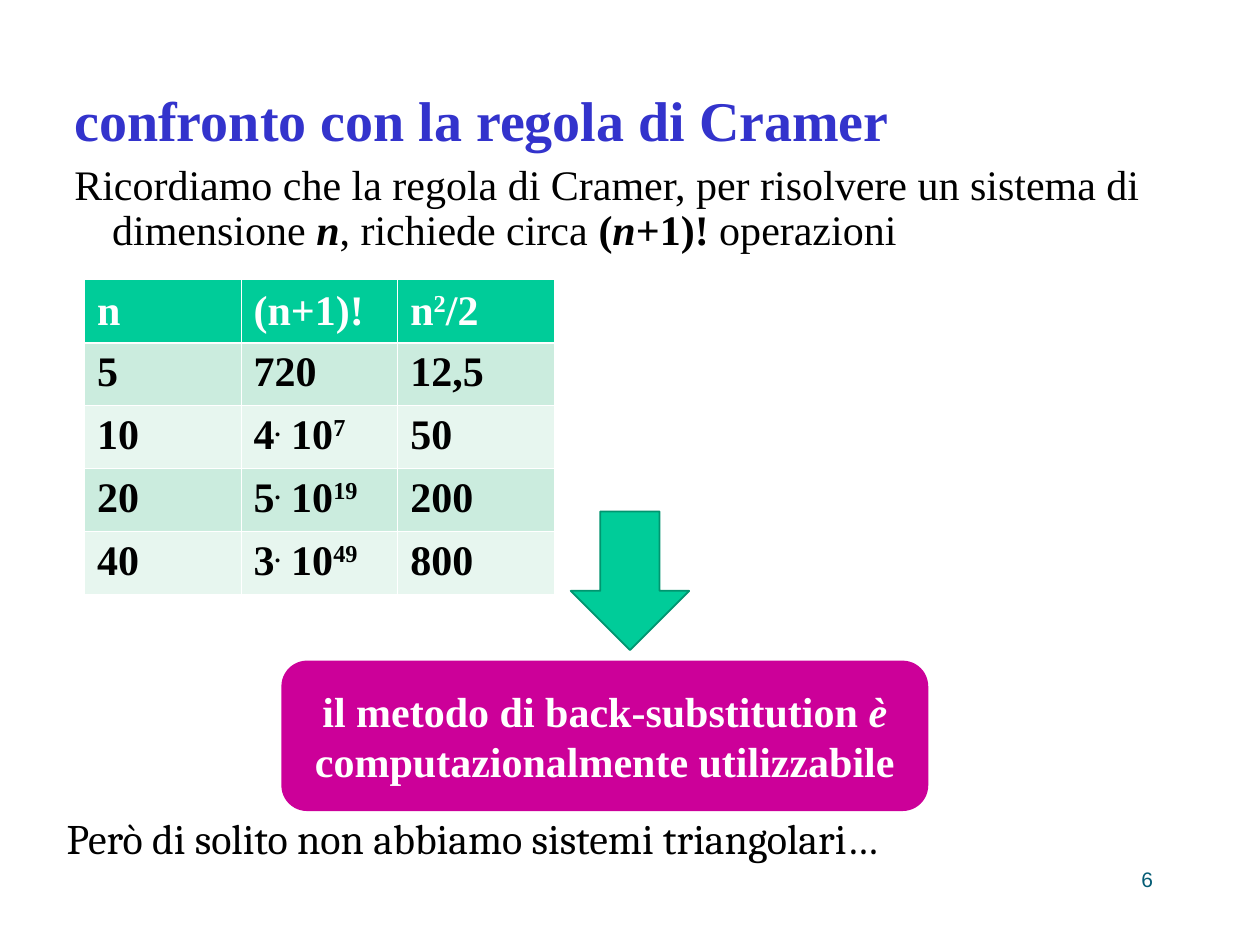
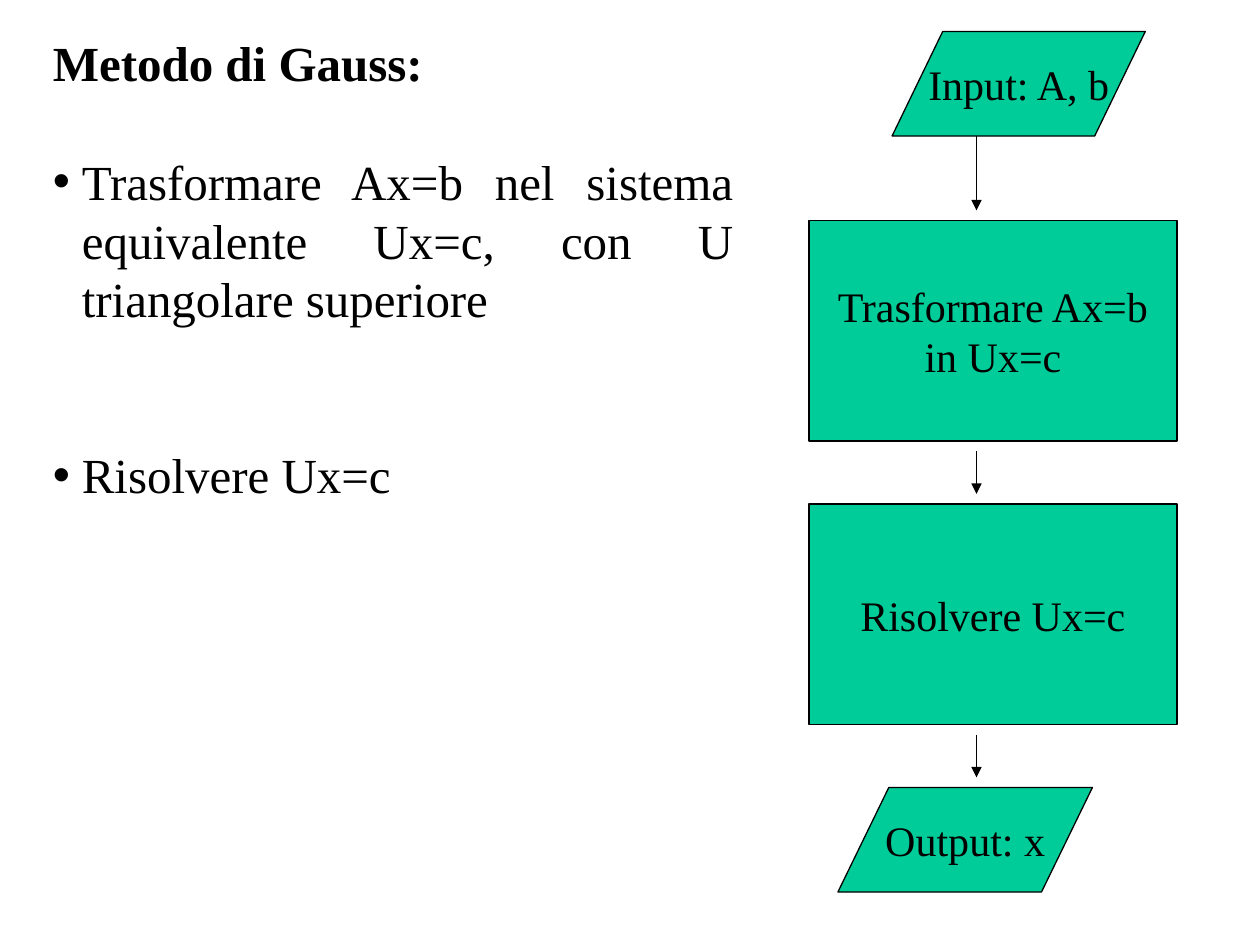
"""Build two slides comparing Cramer's rule with the Gauss method."""
from lxml import etree
from pptx import Presentation
from pptx import util as u
from pptx.dml.color import RGBColor
from pptx.enum import shapes, text
from pptx.oxml import ns

BLACK = RGBColor(0x00, 0x00, 0x00)
WHITE = RGBColor(0xFF, 0xFF, 0xFF)
BLUE = RGBColor(0x33, 0x33, 0xCC)
TEAL = RGBColor(0x04, 0x5C, 0x75)
GREEN = RGBColor(0x00, 0xCC, 0x99)
DARK_GREEN = RGBColor(0x00, 0x95, 0x6F)
MAGENTA = RGBColor(0xCC, 0x00, 0x99)
BAND = RGBColor(0xCB, 0xEC, 0xDE)
LIGHT_BAND = RGBColor(0xE7, 0xF6, 0xEF)
SERIF = "Times New Roman"
In = u.Inches
MSO = shapes.MSO_SHAPE
ALIGN = text.PP_ALIGN
ANCHOR = text.MSO_ANCHOR


def write(p, pieces, size, color=BLACK, font=SERIF):
    """Add (text, flags) runs; flags are b bold, i italic, ^ superscript."""
    for words, flags in pieces:
        r = p.add_run()
        r.text = words
        f = r.font
        f.name, f.size, f.color.rgb = font, u.Pt(size), color
        f.bold, f.italic = "b" in flags, "i" in flags
        if "^" in flags:
            r._r.get_or_add_rPr().set("baseline", "30000")


def frame(sp, box, anchor=ANCHOR.TOP, wrap=True):
    """Place a shape and return its text frame."""
    sp.left, sp.top, sp.width, sp.height = [In(v) for v in box]
    tf = sp.text_frame
    tf.auto_size = text.MSO_AUTO_SIZE.NONE
    tf.word_wrap, tf.vertical_anchor = wrap, anchor
    return tf


prs = Presentation()
prs.slide_width, prs.slide_height = In(10), In(7.5)
layout = prs.slide_layouts[1]

s = prs.slides.add_slide(layout)
p = frame(s.shapes.title, (0.49, 0.69, 9.15, 0.58)).paragraphs[0]
p.alignment, p.line_spacing = ALIGN.LEFT, 0.9
write(p, [("confronto con la regola di Cramer", "b")], 32, BLUE)

p = frame(s.placeholders[1], (0.49, 1.25, 9.15, 0.86)).paragraphs[0]
pPr = p._p.get_or_add_pPr()
pPr.set("marL", str(In(0.3)))
pPr.set("indent", str(In(-0.3)))
etree.SubElement(pPr, ns.qn("a:buNone"))
p.line_spacing, p.space_before = 0.9, u.Pt(0)
write(p, [("Ricordiamo che la regola di Cramer, per risolvere un sistema di dimensione ", ""),
          ("n", "bi"), (", richiede circa ", ""), ("(", "b"), ("n", "bi"),
          ("+1)! ", "b"), ("operazioni", "")], 24)

rows = [
    [[("n", "b")], [("(n+1)!", "b")], [("n", "b"), ("2", "b^"), ("/2", "b")]],
    [[("5", "b")], [("720", "b")], [("12,5", "b")]],
]
for n, factor, power, half_square in [("10", "4", "7", "50"), ("20", "5", "19", "200"),
                                      ("40", "3", "49", "800")]:
    factorial = [(factor, "b"), (".", "b^"), (" 10", "b"), (power, "b^")]
    rows.append([[(n, "b")], factorial, [(half_square, "b")]])

table = s.shapes.add_table(5, 3, In(0.67), In(2.22), In(3.73), In(2.5)).table
for i, row in enumerate(rows):
    table.rows[i].height = In(0.5)
    for j, pieces in enumerate(row):
        cell = table.cell(i, j)
        tcPr = cell._tc.get_or_add_tcPr()
        for side in "LRTB":
            heavy = (i, side) in [(0, "B"), (1, "T")]
            ln = etree.SubElement(tcPr, ns.qn(f"a:ln{side}"), w=str(u.Pt(1.47 if heavy else 0.45)))
            fill = etree.SubElement(ln, ns.qn("a:solidFill"))
            etree.SubElement(fill, ns.qn("a:srgbClr"), val=str(WHITE))
        cell.fill.solid()
        cell.fill.fore_color.rgb = GREEN if i == 0 else BAND if i % 2 else LIGHT_BAND
        cell.vertical_anchor = ANCHOR.MIDDLE if i == 0 else ANCHOR.TOP
        write(cell.text_frame.paragraphs[0], pieces, 24, WHITE if i == 0 else BLACK)

arrow = s.shapes.add_shape(MSO.DOWN_ARROW, In(4.53), In(4.06), In(0.94), In(1.1))
callout = s.shapes.add_shape(MSO.ROUNDED_RECTANGLE, In(2.24), In(5.25), In(5.12), In(1.18))
for sp, fill, line in [(arrow, GREEN, DARK_GREEN), (callout, MAGENTA, MAGENTA)]:
    sp.shadow.inherit = False
    sp.fill.solid()
    sp.fill.fore_color.rgb = fill
    sp.line.color.rgb, sp.line.width = line, u.Pt(1)
p = frame(callout, (2.24, 5.25, 5.12, 1.18), ANCHOR.MIDDLE).paragraphs[0]
p.alignment = ALIGN.CENTER
write(p, [("il metodo di back-substitution ", "b"), ("è", "bi"),
          (" computazionalmente utilizzabile", "b")], 24, WHITE)

for box, words, size, color, font, align in [
    ((0.43, 6.4, 8.35, 0.5), "Però di solito non abbiamo sistemi triangolari…",
     24, BLACK, "Cambria", ALIGN.LEFT),
    ((7.17, 6.83, 2.08, 0.5), "6", 12, TEAL, "Arial", ALIGN.RIGHT),
]:
    p = frame(s.shapes.add_textbox(0, 0, 0, 0), box).paragraphs[0]
    p.alignment = align
    write(p, [(words, "")], size, color, font)

s = prs.slides.add_slide(layout)
p = frame(s.shapes.title, (0.32, 0.21, 5.6, 0.6)).paragraphs[0]
p.alignment = ALIGN.LEFT
write(p, [("Metodo di Gauss:", "b")], 28)

tf = frame(s.placeholders[1], (0.32, 1.15, 5.6, 2.9))
steps = [("Trasformare Ax=b nel sistema equivalente Ux=c, con U triangolare superiore",
          ALIGN.JUSTIFY, 0), ("Risolvere Ux=c", ALIGN.LEFT, 67)]
for i, (words, align, gap) in enumerate(steps):
    p = tf.add_paragraph() if i else tf.paragraphs[0]
    pPr = p._p.get_or_add_pPr()
    pPr.set("marL", str(In(0.23)))
    pPr.set("indent", str(In(-0.23)))
    etree.SubElement(pPr, ns.qn("a:buChar"), char="•")
    p.alignment, p.space_before = align, u.Pt(gap)
    write(p, [(words, "")], 28)

flow = [
    (MSO.FLOWCHART_DATA, (7.08, 0.25, 2.01, 0.83), ["Input: A, b"]),
    (MSO.FLOWCHART_PROCESS, (6.42, 1.75, 2.92, 1.75), ["Trasformare Ax=b", "in Ux=c"]),
    (MSO.FLOWCHART_PROCESS, (6.42, 4, 2.92, 1.75), ["Risolvere Ux=c"]),
    (MSO.FLOWCHART_DATA, (6.65, 6.25, 2.02, 0.83), ["Output: x"]),
]
for kind, box, lines in flow:
    sp = s.shapes.add_shape(kind, 0, 0, 0, 0)
    sp.shadow.inherit = False
    sp.fill.solid()
    sp.fill.fore_color.rgb = GREEN
    sp.line.color.rgb, sp.line.width = BLACK, u.Pt(0.75)
    tf = frame(sp, box, ANCHOR.MIDDLE, wrap=False)
    for i, words in enumerate(lines):
        p = tf.add_paragraph() if i else tf.paragraphs[0]
        p.alignment = ALIGN.CENTER
        write(p, [(words, "")], 24)

for top, bottom in [(1.08, 1.67), (3.58, 3.92), (5.83, 6.17)]:
    c = s.shapes.add_connector(shapes.MSO_CONNECTOR.STRAIGHT, In(7.75), In(top), In(7.75), In(bottom))
    c.line.color.rgb, c.line.width = BLACK, u.Pt(0.75)
    etree.SubElement(c.line._get_or_add_ln(), ns.qn("a:tailEnd"), type="triangle")
    etree.SubElement(c._element.spPr, ns.qn("a:effectLst"))

prs.save("out.pptx")
